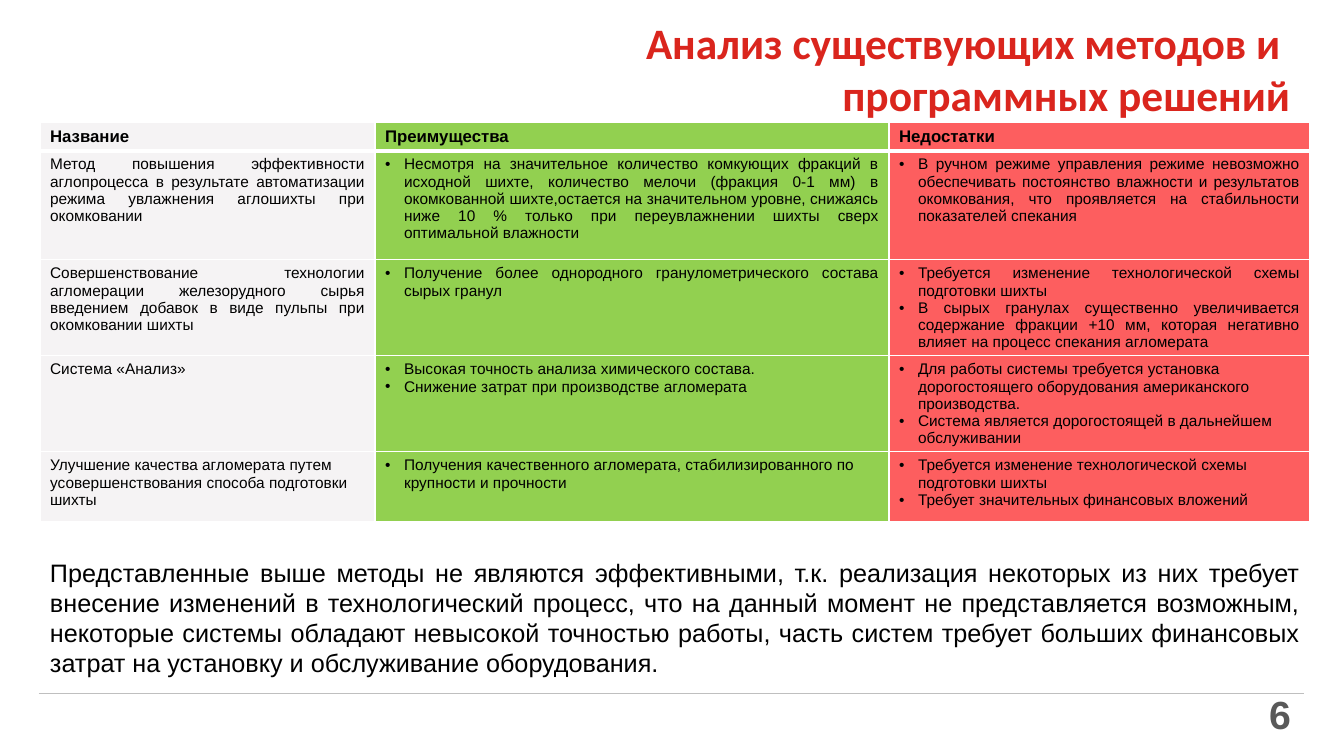
"""Build the slide that compares sinter mix pelletizing methods."""
from dataclasses import dataclass
from typing import Any

import pptx
import pptx.dml.color
import pptx.enum.shapes
import pptx.enum.text
import pptx.oxml
import pptx.oxml.ns
import pptx.util

SCALE = 12192000 / 1344
BLACK, WHITE = "000000", "FFFFFF"
COLUMN_WIDTHS = (335, 514, 421)
COLUMN_FILLS = ("F5F3F4", "92D050", "FD5E5F")
HEADINGS = ("Название", "Преимущества", "Недостатки")
HEADING_HEIGHT = 28
BULLET_INDENT = 19

ALIGN = pptx.enum.text.PP_ALIGN
ANCHOR = pptx.enum.text.MSO_ANCHOR
AUTO_SIZE = pptx.enum.text.MSO_AUTO_SIZE


@dataclass(frozen=True)
class TextStyle:
    size: int
    color: str = BLACK
    bold: bool = False
    font: str = "Arial"
    align: Any = ALIGN.LEFT
    bullet: bool = False


@dataclass(frozen=True)
class Label:
    left: int
    top: int
    width: int
    height: int
    text: str
    style: TextStyle
    inset_x: int = 13
    inset_y: int = 6
    anchor: Any = ANCHOR.MIDDLE
    auto_size: Any = AUTO_SIZE.NONE


@dataclass(frozen=True)
class Method:
    height: int
    name: str
    advantages: tuple[str, ...]
    drawbacks: tuple[str, ...]
    name_align: Any = ALIGN.JUSTIFY
    list_align: Any = ALIGN.LEFT


METHODS = (
    Method(
        109,
        "Метод повышения эффективности аглопроцесса в результате автоматизации "
        "режима увлажнения аглошихты при окомковании",
        ("Несмотря на значительное количество комкующих фракций в исходной шихте, "
         "количество мелочи (фракция 0-1 мм) в окомкованной шихте,остается на "
         "значительном уровне, снижаясь ниже 10 % только при переувлажнении шихты "
         "сверх оптимальной влажности",),
        ("В ручном режиме управления режиме невозможно обеспечивать постоянство "
         "влажности и результатов окомкования, что проявляется на стабильности "
         "показателей спекания",),
        list_align=ALIGN.JUSTIFY,
    ),
    Method(
        96,
        "Совершенствование технологии агломерации железорудного сырья введением "
        "добавок в виде пульпы при окомковании шихты",
        ("Получение более однородного гранулометрического состава сырых гранул",),
        ("Требуется изменение технологической схемы подготовки шихты",
         "В сырых гранулах существенно увеличивается содержание фракции +10 мм, "
         "которая негативно влияет на процесс спекания агломерата"),
        list_align=ALIGN.JUSTIFY,
    ),
    Method(
        96,
        "Система «Анализ»",
        ("Высокая точность анализа химического состава.",
         "Снижение затрат при производстве агломерата"),
        ("Для работы системы требуется установка дорогостоящего оборудования "
         "американского производства.",
         "Система является дорогостоящей в дальнейшем обслуживании"),
    ),
    Method(
        70,
        "Улучшение качества агломерата путем усовершенствования способа "
        "подготовки шихты",
        ("Получения качественного агломерата, стабилизированного по крупности "
         "и прочности",),
        ("Требуется изменение технологической схемы подготовки шихты",
         "Требует значительных финансовых вложений"),
        name_align=ALIGN.LEFT,
    ),
)

LABELS = (
    Label(286, 35, 1017, 66, "Анализ существующих методов и \vпрограммных решений",
          TextStyle(31, "DA251D", True, "Calibri", ALIGN.RIGHT)),
    Label(1221, 694, 83, 40, "6", TextStyle(28, "595959", True, align=ALIGN.RIGHT)),
    Label(40, 552, 1270, 132,
          "Представленные выше методы не являются эффективными, т.к. реализация "
          "некоторых из них требует внесение изменений в технологический процесс, "
          "что на данный момент не представляется возможным, некоторые системы "
          "обладают невысокой точностью работы, часть систем требует больших "
          "финансовых затрат на установку и обслуживание оборудования.",
          TextStyle(18, align=ALIGN.JUSTIFY), 10, 5, ANCHOR.TOP,
          AUTO_SIZE.SHAPE_TO_FIT_TEXT),
)


def px(value: int) -> pptx.util.Emu:
    """Turn px into EMU."""
    return pptx.util.Emu(round(value * SCALE))


def rgb(value: str) -> pptx.dml.color.RGBColor:
    """Turn a hex string into a colour."""
    return pptx.dml.color.RGBColor.from_string(value)


def assign(target: Any, values: dict[str, Any]) -> None:
    """Set each named attribute of the target."""
    for name, value in values.items():
        setattr(target, name, value)


def add_xml(parent: Any, tag: str, content: str = "") -> None:
    """Append one drawing element, given its tag with attributes."""
    namespace = pptx.oxml.ns.nsdecls("a")
    name = tag.split()[0]
    parent.append(pptx.oxml.parse_xml(f"<a:{tag} {namespace}>{content}</a:{name}>"))


def write(frame: Any, lines: tuple[str, ...], style: TextStyle) -> None:
    """Fill a text frame with one paragraph per line."""
    for index, line in enumerate(lines):
        para = frame.add_paragraph() if index else frame.paragraphs[0]
        para.text = line
        para.alignment = style.align
        if style.bullet:
            properties = para._p.get_or_add_pPr()
            properties.set("marL", str(px(BULLET_INDENT)))
            properties.set("indent", str(-px(BULLET_INDENT)))
            add_xml(properties, 'buFont typeface="Arial"')
            add_xml(properties, 'buChar char="•"')
        for span in para.runs:
            assign(span.font, {"name": style.font, "size": pptx.util.Pt(style.size),
                               "bold": style.bold})
            span.font.color.rgb = rgb(style.color)


def draw_label(page: Any, label: Label) -> None:
    """Draw one text box."""
    box = page.shapes.add_textbox(*map(px, (label.left, label.top,
                                            label.width, label.height)))
    assign(box.text_frame, {
        "word_wrap": True, "auto_size": label.auto_size,
        "vertical_anchor": label.anchor,
        "margin_left": px(label.inset_x), "margin_right": px(label.inset_x),
        "margin_top": px(label.inset_y), "margin_bottom": px(label.inset_y)})
    write(box.text_frame, (label.text,), label.style)


def draw_cell(cell: Any, row: int, fill: str, lines: tuple[str, ...],
              style: TextStyle) -> None:
    """Draw one table cell with white borders, thicker under the headings."""
    widths = {"L": 1, "R": 1, "T": 3 if row == 1 else 1, "B": 3 if row == 0 else 1}
    properties = cell._tc.get_or_add_tcPr()
    for side, width in widths.items():
        add_xml(properties, f'ln{side} w="{pptx.util.Pt(width)}"',
                f'<a:solidFill><a:srgbClr val="{WHITE}"/></a:solidFill>')
    cell.fill.solid()
    cell.fill.fore_color.rgb = rgb(fill)
    write(cell.text_frame, lines, style)


def draw_methods(page: Any) -> None:
    """Draw the table of methods."""
    heights = (HEADING_HEIGHT, *(method.height for method in METHODS))
    table = page.shapes.add_table(len(heights), len(COLUMN_WIDTHS), px(40), px(122),
                                  px(sum(COLUMN_WIDTHS)), px(sum(heights))).table
    table.horz_banding = False
    for column, width in zip(table.columns, COLUMN_WIDTHS):
        column.width = px(width)
    for row, height in zip(table.rows, heights):
        row.height = px(height)
    for column, (heading, fill) in enumerate(zip(HEADINGS, COLUMN_FILLS)):
        draw_cell(table.cell(0, column), 0, fill, (heading,), TextStyle(12, bold=True))
    for row, method in enumerate(METHODS, 1):
        name_style = TextStyle(11, align=method.name_align)
        list_style = TextStyle(11, align=method.list_align, bullet=True)
        contents = (((method.name,), name_style), (method.advantages, list_style),
                    (method.drawbacks, list_style))
        for column, (lines, style) in enumerate(contents):
            draw_cell(table.cell(row, column), row, COLUMN_FILLS[column], lines, style)


def draw_footer_line(page: Any) -> None:
    """Draw the thin line above the page number."""
    line = page.shapes.add_connector(pptx.enum.shapes.MSO_CONNECTOR.STRAIGHT,
                                     px(39), px(694), px(1304), px(694))
    line.line.color.rgb = rgb("BFBFBF")
    line.line.width = pptx.util.Pt(0.75)
    add_xml(line._element.spPr, "effectLst")


def main() -> None:
    """Build and save the deck."""
    deck = pptx.Presentation()
    assign(deck, {"slide_width": px(1344), "slide_height": px(756)})
    page = deck.slides.add_slide(deck.slide_layouts[6])
    draw_footer_line(page)
    draw_methods(page)
    for label in LABELS:
        draw_label(page, label)
    deck.save("out.pptx")


if __name__ == "__main__":
    main()
